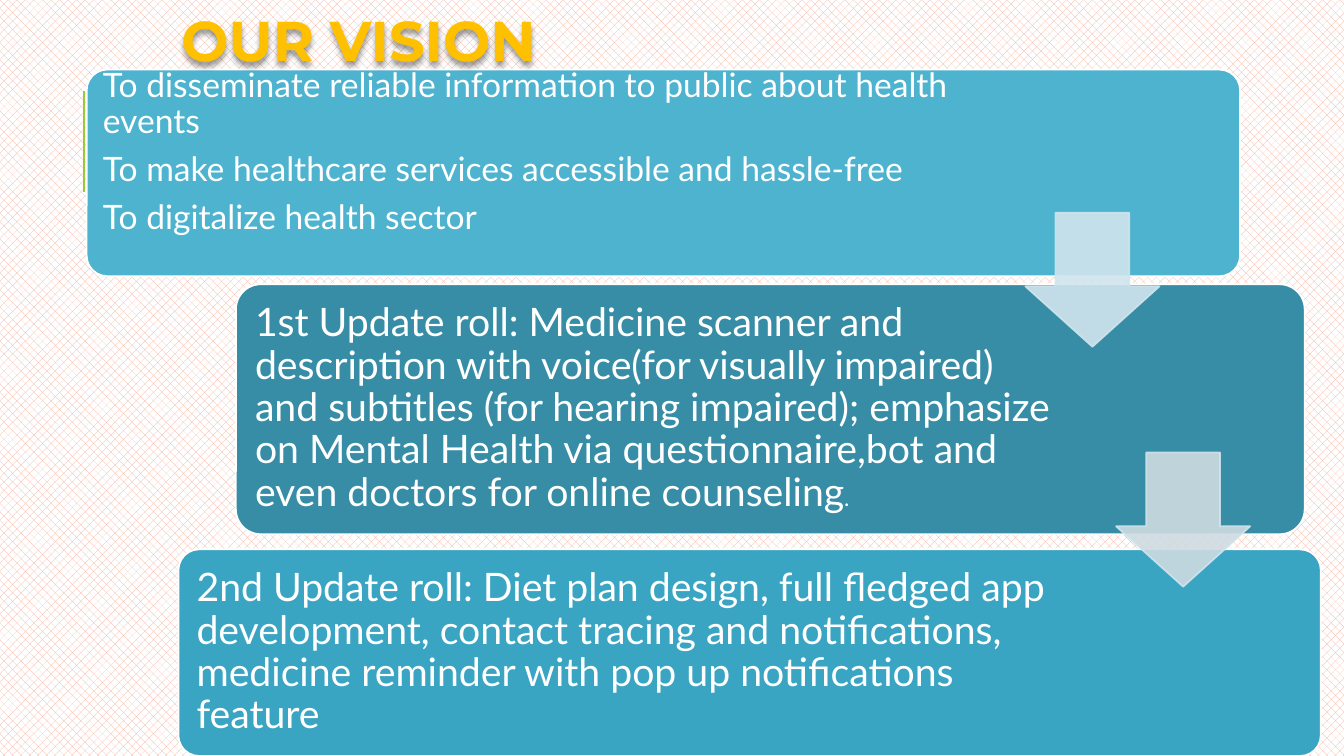
from dataclasses import dataclass

from lxml import etree
from pptx import Presentation
from pptx.dml.color import RGBColor
from pptx.enum.dml import MSO_PATTERN
from pptx.enum.shapes import MSO_CONNECTOR, MSO_SHAPE
from pptx.enum.text import MSO_ANCHOR, MSO_AUTO_SIZE, PP_ALIGN
from pptx.oxml import parse_xml
from pptx.oxml.ns import qn
from pptx.util import Inches, Pt

WEAVE = MSO_PATTERN.WEAVE
STRAIGHT = MSO_CONNECTOR.STRAIGHT
ROUNDED, DOWN_ARROW = MSO_SHAPE.ROUNDED_RECTANGLE, MSO_SHAPE.DOWN_ARROW
TOP, MIDDLE = MSO_ANCHOR.TOP, MSO_ANCHOR.MIDDLE
NO_AUTOFIT = MSO_AUTO_SIZE.NONE
LEFT = PP_ALIGN.LEFT
DRAWING_NS = "http://schemas.openxmlformats.org/drawingml/2006/main"


@dataclass(frozen=True)
class Theme:
    weave: str = "F3AB97"
    white: str = "FFFFFF"
    accent: str = "99CB38"
    title: str = "FFC000"
    vision: str = "4EB3CF"
    first_update: str = "378DA6"
    second_update: str = "3AA4C3"
    first_arrow: str = "D0E5ED"
    second_arrow: str = "CEDBE1"
    title_font: str = "Montserrat"
    body_font: str = "Lato"
    title_size: int = 40
    update_size: int = 28
    vision_size: int = 24
    full_stop_size: int = 16
    outline: float = 1.25
    accent_width: float = 1.5


THEME = Theme()

VISION = [
    "To disseminate reliable information to public about health events",
    "To make healthcare services accessible and hassle-free",
    "To digitalize health sector",
]
FIRST_UPDATE = (
    "1st Update roll: Medicine scanner and description with voice(for visually "
    "impaired) and subtitles (for hearing impaired); emphasize on Mental Health "
    "via questionnaire,bot and even doctors for online counseling"
)
SECOND_UPDATE = (
    "2nd Update roll: Diet plan design, full fledged app development, contact "
    "tracing and notifications, medicine reminder with pop up notifications feature"
)


def rgb(color):
    return RGBColor.from_string(color)


def place(shape, box):
    shape.left, shape.top, shape.width, shape.height = map(Inches, box)


def style_run(run, font, size, color, bold=False):
    run.font.name = font
    run.font.size = Pt(size)
    run.font.color.rgb = rgb(color)
    run.font.bold = bold


def set_frame(frame, anchor, side, top):
    frame.word_wrap = True
    frame.auto_size = NO_AUTOFIT
    frame.vertical_anchor = anchor
    frame.margin_left = frame.margin_right = Inches(side)
    frame.margin_top = frame.margin_bottom = Inches(top)


def style_body(frame, size):
    for paragraph in frame.paragraphs:
        paragraph.alignment = LEFT
        paragraph.line_spacing = 0.9
        paragraph.space_before = Pt(0)
        paragraph.space_after = Pt(size * 0.35)
        for run in paragraph.runs:
            style_run(run, THEME.body_font, size, THEME.white)


def remove_bullet(paragraph):
    properties = paragraph._p.get_or_add_pPr()
    properties.set("marL", "0")
    properties.set("indent", "0")
    etree.SubElement(properties, qn("a:buNone"))


def add_block(slide, kind, box, adjustments, fill, line):
    block = slide.shapes.add_shape(kind, *map(Inches, box))
    block.shadow.inherit = False
    for index, value in enumerate(adjustments):
        block.adjustments[index] = value
    block.fill.solid()
    block.fill.fore_color.rgb = rgb(fill)
    block.line.color.rgb = rgb(line)
    block.line.width = Pt(THEME.outline)
    return block


def add_card(slide, box, fill):
    add_block(slide, ROUNDED, box, [0.1], fill, THEME.white)


def add_step_arrow(slide, left, top, fill):
    arrow = add_block(
        slide, DOWN_ARROW, (left, top, 1.33, 1.33), [0.55, 0.45], fill, THEME.first_arrow
    )
    for color in arrow._element.spPr.iter(qn("a:srgbClr")):
        etree.SubElement(color, qn("a:alpha"), val="90000")


def add_update_text(slide, box, text):
    update = slide.shapes.add_textbox(*map(Inches, box))
    set_frame(update.text_frame, MIDDLE, 0.12, 0.12)
    update.text_frame.text = text
    style_body(update.text_frame, THEME.update_size)
    return update.text_frame.paragraphs[0]


def add_accent_line(slide):
    accent = slide.shapes.add_connector(
        STRAIGHT, Inches(0.83), Inches(1.9), Inches(0.83), Inches(0.9)
    )
    accent.line.color.rgb = rgb(THEME.accent)
    accent.line.width = Pt(THEME.accent_width)
    etree.SubElement(accent._element.spPr, qn("a:effectLst"))


def fill_vision(slide):
    vision = slide.placeholders[1]
    place(vision, (0.92, 0.68, 8.98, 2))
    set_frame(vision.text_frame, TOP, 0.1, 0)
    vision.text_frame.text = "\n".join(VISION)
    style_body(vision.text_frame, THEME.vision_size)
    for paragraph in vision.text_frame.paragraphs:
        remove_bullet(paragraph)
    slide.shapes._spTree.append(vision._element)


def fill_title(slide):
    title = slide.shapes.title
    place(title, (1.7, 0, 5.23, 0.77))
    set_frame(title.text_frame, TOP, 0.1, 0.05)
    title.text_frame.text = "OUR VISION"
    heading = title.text_frame.paragraphs[0]
    heading.alignment = LEFT
    style_run(heading.runs[0], THEME.title_font, THEME.title_size, THEME.title, True)
    title._element.spPr.append(parse_xml(
        f'<a:effectLst xmlns:a="{DRAWING_NS}">'
        '<a:outerShdw blurRad="50800" dist="38100" dir="5400000" algn="t" rotWithShape="0">'
        '<a:srgbClr val="000000"><a:alpha val="40000"/></a:srgbClr>'
        '</a:outerShdw></a:effectLst>'
    ))
    slide.shapes._spTree.append(title._element)


def paint_background(slide):
    fill = slide.background.fill
    fill.patterned()
    fill.pattern = WEAVE
    fill.fore_color.rgb = rgb(THEME.weave)
    fill.back_color.rgb = rgb(THEME.white)


def main():
    deck = Presentation()
    deck.slide_width, deck.slide_height = Inches(13.33), Inches(7.5)
    slide = deck.slides.add_slide(deck.slide_layouts[1])
    paint_background(slide)
    add_accent_line(slide)
    add_card(slide, (0.86, 0.69, 11.44, 2.05), THEME.vision)
    fill_vision(slide)
    add_card(slide, (1.77, 5.45, 11.33, 2.05), THEME.second_update)
    add_update_text(slide, (1.83, 5.51, 8.73, 1.93), SECOND_UPDATE)
    add_card(slide, (2.34, 2.82, 10.6, 2.48), THEME.first_update)
    first_update = add_update_text(slide, (2.41, 2.89, 8.14, 2.33), FIRST_UPDATE)
    full_stop = first_update.add_run()
    full_stop.text = "."
    style_run(full_stop, THEME.body_font, THEME.full_stop_size, THEME.white)
    add_step_arrow(slide, 10.17, 2.11, THEME.first_arrow)
    add_step_arrow(slide, 11.07, 4.49, THEME.second_arrow)
    fill_title(slide)
    deck.save("out.pptx")


main()
